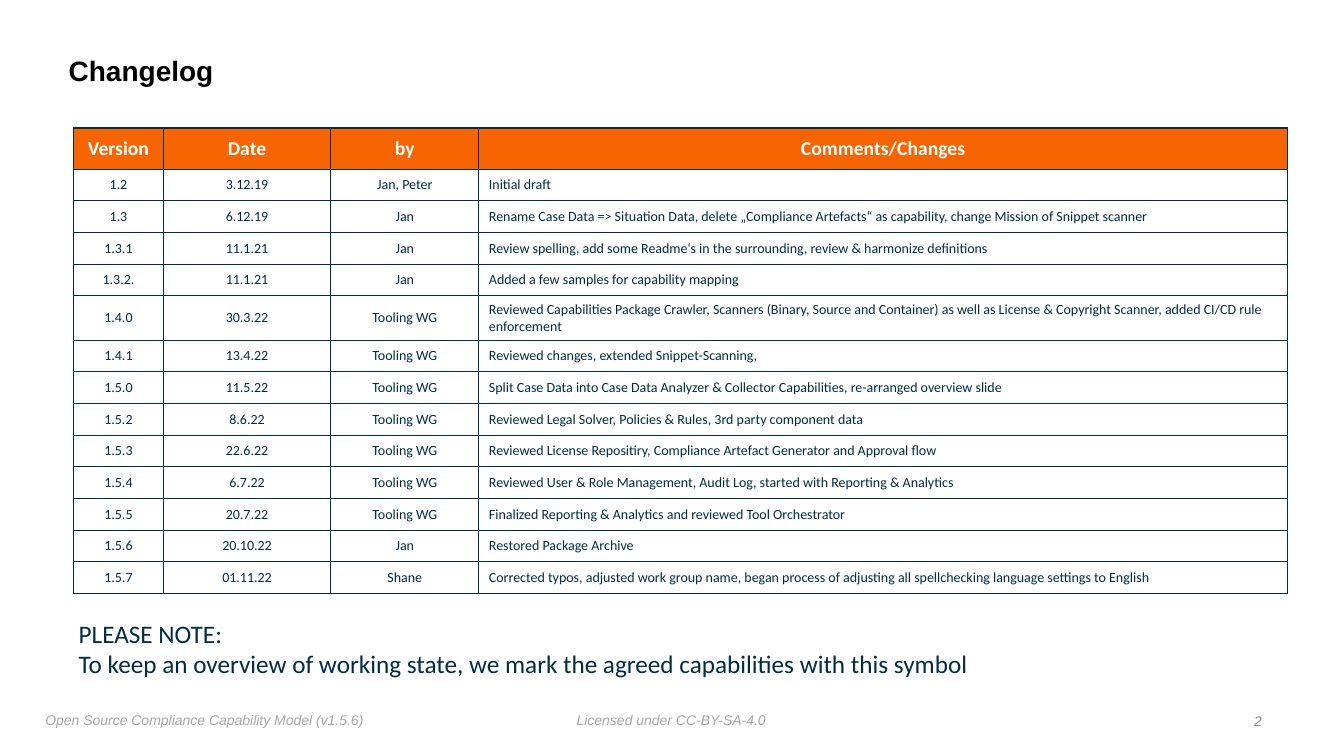
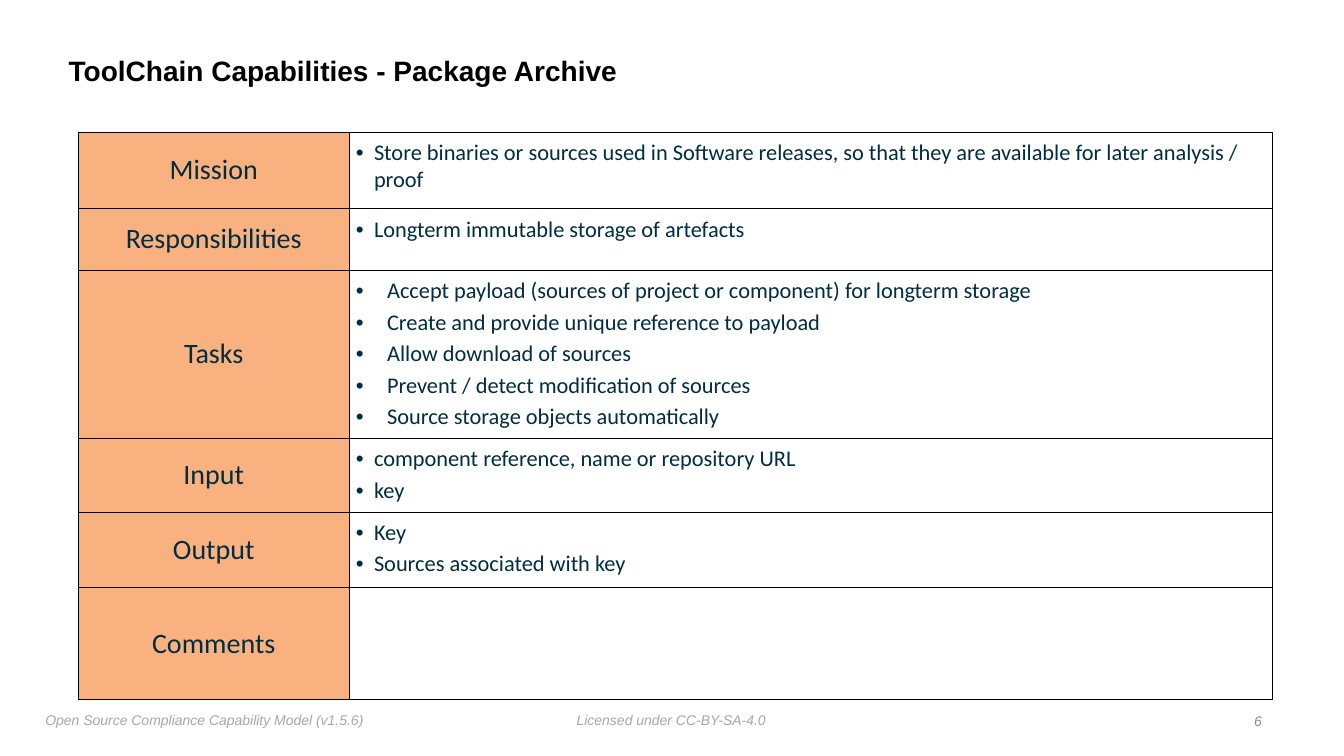
from lxml import etree
from pptx import Presentation
from pptx import util as u
from pptx.dml.color import RGBColor
from pptx.enum import text
from pptx.oxml import ns

W, H = u.Inches(13.33), u.Inches(7.5)
ORANGE = RGBColor(0xF7, 0x65, 0x03)
LABEL_ORANGE = RGBColor(0xF6, 0x65, 0x03)
NAVY = RGBColor(0x00, 0x2D, 0x41)
BLACK = RGBColor(0x00, 0x00, 0x00)
WHITE = RGBColor(0xFF, 0xFF, 0xFF)
FOOTER_GREY = RGBColor(0xA7, 0xA7, 0xA7)
NUMBER_GREY = RGBColor(0x88, 0x8C, 0x91)
HEAD_FONT, BODY_FONT = "Arial", "Calibri"
LEFT, CENTER, RIGHT = (text.PP_ALIGN.LEFT, text.PP_ALIGN.CENTER,
                       text.PP_ALIGN.RIGHT)
TOP, MIDDLE = text.MSO_ANCHOR.TOP, text.MSO_ANCHOR.MIDDLE

TITLE_BOX = (4.73, 5.2, 80.65, 8.67)
MODEL_BOX = (3, 93.47, 24.91, 3.6)
LICENSE_BOX = (42.53, 93.47, 14.93, 3.33)
NUMBER_BOX = (92.27, 93.73, 2, 3.33)
LOG_BOX = (5.48, 16.93, 90.32, 61.6)
NOTE_BOX = (5.48, 81.07, 74.42, 9.47)
CAPABILITY_BOX = (5.85, 17.47, 88.82, 75.07)

LOG_HEAD = ("Version", "Date", "by", "Comments/Changes")
LOG = [
    ("1.2", "3.12.19", "Jan, Peter", "Initial draft"),
    ("1.3", "6.12.19", "Jan", "Rename Case Data => Situation Data, delete "
     "„Compliance Artefacts“ as capability, change Mission of Snippet scanner"),
    ("1.3.1", "11.1.21", "Jan", "Review spelling, add some Readme‘s in the "
     "surrounding, review & harmonize definitions"),
    ("1.3.2.", "11.1.21", "Jan", "Added a few samples for capability mapping"),
    ("1.4.0", "30.3.22", "Tooling WG", "Reviewed Capabilities Package Crawler, "
     "Scanners (Binary, Source and Container) as well as License & Copyright "
     "Scanner, added CI/CD rule enforcement"),
    ("1.4.1", "13.4.22", "Tooling WG",
     "Reviewed changes, extended Snippet-Scanning,"),
    ("1.5.0", "11.5.22", "Tooling WG", "Split Case Data into Case Data Analyzer "
     "& Collector Capabilities, re-arranged overview slide"),
    ("1.5.2", "8.6.22", "Tooling WG",
     "Reviewed Legal Solver, Policies & Rules, 3rd party component data"),
    ("1.5.3", "22.6.22", "Tooling WG", "Reviewed License Repositiry, "
     "Compliance Artefact Generator and Approval flow"),
    ("1.5.4", "6.7.22", "Tooling WG", "Reviewed User & Role Management, "
     "Audit Log, started with Reporting & Analytics"),
    ("1.5.5", "20.7.22", "Tooling WG",
     "Finalized Reporting & Analytics and reviewed Tool Orchestrator"),
    ("1.5.6", "20.10.22", "Jan", "Restored Package Archive"),
    ("1.5.7", "01.11.22", "Shane", "Corrected typos, adjusted work group name, "
     "began process of adjusting all spellchecking language settings to English"),
]
LOG_COLS = (0.89, 1.66, 1.47, 8.02)
LOG_ROWS = [1.3] + [1.4 if row[0] == "1.4.0" else 1 for row in LOG]

CAPABILITY_COLS = (2.68, 9.16)
CAPABILITY = [
    ("Mission", 0.76, 0.18, ["Store binaries or sources used in Software "
     "releases, so that they are available for later analysis / proof"]),
    ("Responsibilities", 0.61, 0.18, ["Longterm immutable storage of artefacts"]),
    ("Tasks", 1.67, 0.31, [
        "Accept payload (sources of project or component) for longterm storage",
        "Create and provide unique reference to payload",
        "Allow download of sources",
        "Prevent / detect modification of sources",
        "Source storage objects automatically"]),
    ("Input", 0.73, 0.18, ["component reference, name or repository URL", "key"]),
    ("Output", 0.75, 0.18, ["Key", "Sources associated with key"]),
    ("Comments", 1.11, 0.18, []),
]


def to_emu(box):
    x, y, w, h = box
    return [int(v * side / 100) for v, side in ((x, W), (y, H), (w, W), (h, H))]


def set_text(tf, content, size, color, font=BODY_FONT, bold=False,
             italic=False, align=LEFT):
    tf.text = content
    for p in tf.paragraphs:
        p.alignment = align
        for r in p.runs:
            f = r.font
            f.name, f.size, f.bold, f.italic = font, u.Pt(size), bold, italic
            f.color.rgb = color


def add_text(s, box, content, size, color, wrap=False, anchor=TOP, **style):
    tf = s.shapes.add_textbox(*to_emu(box)).text_frame
    tf.word_wrap = wrap
    tf.vertical_anchor = anchor
    tf.margin_left = tf.margin_right = u.Inches(0.05)
    tf.margin_top = tf.margin_bottom = u.Inches(0.05)
    set_text(tf, content, size, color, **style)
    return tf


def add_base(prs, title, number):
    s = prs.slides.add_slide(prs.slide_layouts[6])
    footer = dict(font=HEAD_FONT, italic=True)
    add_text(s, LICENSE_BOX, "Licensed under CC-BY-SA-4.0", 10, FOOTER_GREY,
             **footer)
    add_text(s, MODEL_BOX, "Open Source Compliance Capability Model (v1.5.6)",
             10, FOOTER_GREY, **footer)
    add_text(s, NUMBER_BOX, str(number), 10, NUMBER_GREY, wrap=True,
             anchor=MIDDLE, align=RIGHT, **footer)
    tf = add_text(s, TITLE_BOX, title, 20, BLACK, wrap=True, anchor=MIDDLE,
                  font=HEAD_FONT, bold=True)
    tf.paragraphs[0].line_spacing = 0.9
    return s


def add_grid(s, box, cols, rows, color, weight):
    x, y, w, h = to_emu(box)
    table = s.shapes.add_table(len(rows), len(cols), x, y, w, h).table
    table.first_row = table.horz_banding = False
    for lines, shares, total, side in ((table.columns, cols, w, "width"),
                                       (table.rows, rows, h, "height")):
        for line, share in zip(lines, shares):
            setattr(line, side, int(total * share / sum(shares)))
    for cell in table.iter_cells():
        tcPr = cell._tc.get_or_add_tcPr()
        for edge in ("a:lnL", "a:lnR", "a:lnT", "a:lnB"):
            ln = etree.SubElement(tcPr, ns.qn(edge), w=str(u.Pt(weight)))
            fill = etree.SubElement(ln, ns.qn("a:solidFill"))
            etree.SubElement(fill, ns.qn("a:srgbClr"), val=str(color))
        cell.fill.background()
    return table


def set_margins(cell, inches):
    cell.margin_left = cell.margin_right = u.Inches(inches)
    cell.margin_top = cell.margin_bottom = u.Inches(inches)


def fill_cell(cell, color, alpha=100):
    cell.fill.solid()
    cell.fill.fore_color.rgb = color
    if alpha < 100:
        clr = cell._tc.tcPr.find(ns.qn("a:solidFill"))[0]
        etree.SubElement(clr, ns.qn("a:alpha"), val=str(alpha * 1000))


def add_bullet(p, indent):
    pPr = p._p.get_or_add_pPr()
    pPr.set("marL", str(u.Inches(indent)))
    pPr.set("indent", str(-u.Inches(indent)))
    etree.SubElement(pPr, ns.qn("a:buFont"), typeface=HEAD_FONT)
    etree.SubElement(pPr, ns.qn("a:buChar"), char="•")


def add_log(s, box):
    table = add_grid(s, box, LOG_COLS, LOG_ROWS, NAVY, 1)
    for i, row in enumerate([LOG_HEAD] + LOG):
        for j, content in enumerate(row):
            cell = table.cell(i, j)
            cell.vertical_anchor = MIDDLE
            if i == 0:
                fill_cell(cell, ORANGE)
                set_text(cell.text_frame, content, 14, WHITE, bold=True,
                         align=CENTER)
            else:
                set_text(cell.text_frame, content, 10, NAVY,
                         align=CENTER if j < 3 else LEFT)


def add_capability(s, box):
    rows = [height for _, height, _, _ in CAPABILITY]
    table = add_grid(s, box, CAPABILITY_COLS, rows, BLACK, 0.5)
    for i, (name, _, indent, items) in enumerate(CAPABILITY):
        label, detail = table.cell(i, 0), table.cell(i, 1)
        label.vertical_anchor = MIDDLE
        set_margins(label, 0)
        fill_cell(label, LABEL_ORANGE, 50)
        set_text(label.text_frame, name, 20, NAVY, align=CENTER)
        if items:
            set_margins(detail, 0.07)
            set_text(detail.text_frame, "\n".join(items), 16, NAVY)
            for k, p in enumerate(detail.text_frame.paragraphs):
                if k:
                    p.space_before = u.Pt(3)
                add_bullet(p, indent)


def main():
    prs = Presentation()
    prs.slide_width, prs.slide_height = W, H
    s = add_base(prs, "Changelog", 2)
    add_log(s, LOG_BOX)
    add_text(s, NOTE_BOX, "PLEASE NOTE:\vTo keep an overview of working state, "
             "we mark the agreed capabilities with this symbol", 18, NAVY)
    s = add_base(prs, "ToolChain Capabilities - Package Archive", 6)
    add_capability(s, CAPABILITY_BOX)
    prs.save("out.pptx")


if __name__ == "__main__":
    main()
